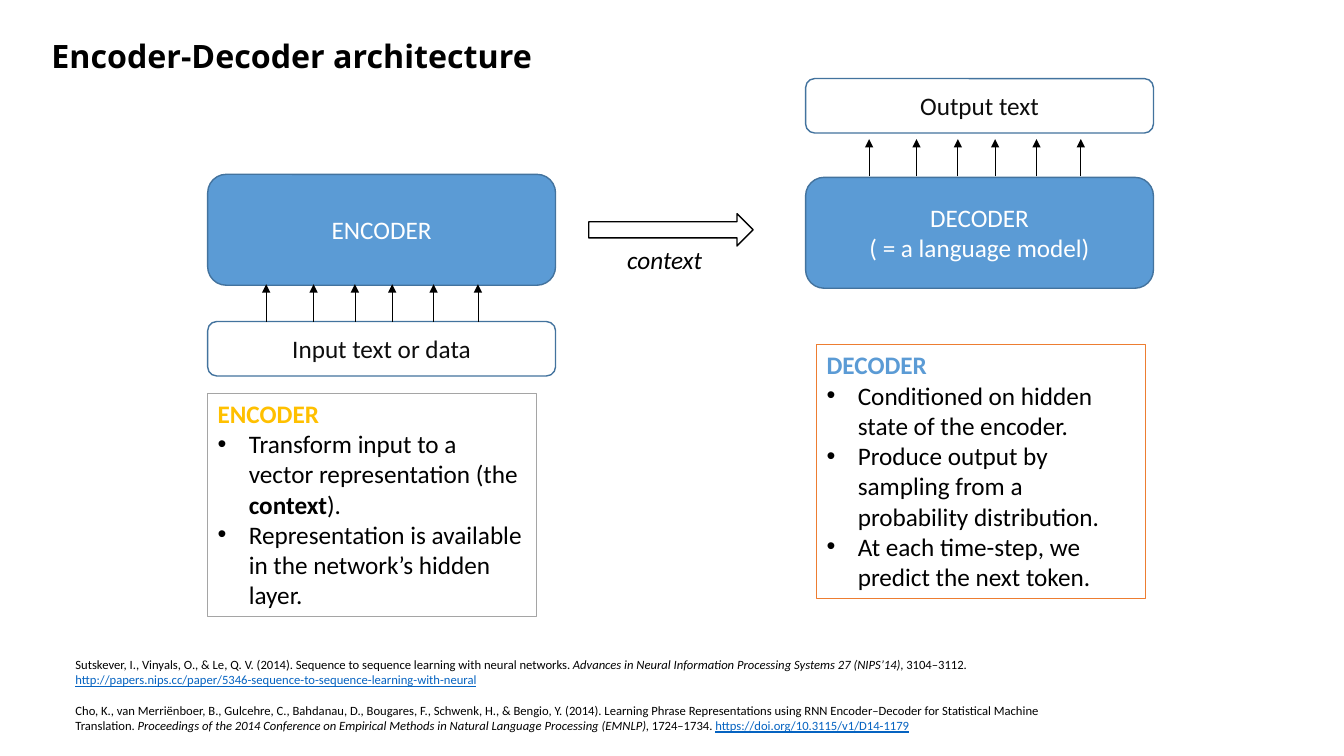
from dataclasses import dataclass

from lxml import etree
from pptx import Presentation
from pptx.dml.color import RGBColor
from pptx.enum.shapes import MSO_CONNECTOR, MSO_SHAPE
from pptx.enum.text import MSO_ANCHOR, MSO_AUTO_SIZE, PP_ALIGN
from pptx.oxml.ns import qn
from pptx.util import Inches, Pt

ROUNDED, RECT, ARROW = MSO_SHAPE.ROUNDED_RECTANGLE, MSO_SHAPE.RECTANGLE, MSO_SHAPE.RIGHT_ARROW
STRAIGHT = MSO_CONNECTOR.STRAIGHT
TOP, MIDDLE = MSO_ANCHOR.TOP, MSO_ANCHOR.MIDDLE
LEFT, CENTER = PP_ALIGN.LEFT, PP_ALIGN.CENTER
NO_FIT = MSO_AUTO_SIZE.NONE


@dataclass(frozen=True)
class Theme:
    black: str = "000000"
    white: str = "FFFFFF"
    soft_black: str = "0D0D0D"
    blue: str = "5B9BD5"
    dark_blue: str = "43739E"
    gold: str = "FFC000"
    orange: str = "ED7D31"
    gray: str = "A5A5A5"
    link: str = "0563C1"
    title_font: str = "Open Sans"
    body_font: str = "Calibri"
    title: float = 23
    body: float = 18
    reference: float = 9


T = Theme()


def add_runs(p, runs, size, align=LEFT, font=T.body_font):
    """Fill a paragraph from (text, colour, font attributes) triples."""
    p.alignment = align
    for text, color, attrs in runs:
        r = p.add_run()
        r.text = text
        r.font.name, r.font.size = font, Pt(size)
        r.font.color.rgb = RGBColor.from_string(color)
        for name, value in attrs.items():
            setattr(r.font, name, value)


def add_box(kind, box, fill, line, width):
    sp = s.shapes.add_shape(kind, *map(Inches, box))
    sp.shadow.inherit = False
    if fill:
        sp.fill.solid()
        sp.fill.fore_color.rgb = RGBColor.from_string(fill)
    else:
        sp.fill.background()
    sp.line.color.rgb = RGBColor.from_string(line)
    sp.line.width = Pt(width)
    sp.text_frame.word_wrap = True
    return sp


prs = Presentation()
prs.slide_width, prs.slide_height = Inches(13.33), Inches(7.5)
s = prs.slides.add_slide(prs.slide_layouts[5])

# Title
title = s.shapes.title
title.left, title.top, title.width, title.height = map(Inches, (0.41, 0.31, 8.27, 1.37))
tf = title.text_frame
tf.vertical_anchor, tf.auto_size, tf.word_wrap = TOP, NO_FIT, True
add_runs(tf.paragraphs[0], [("Encoder-Decoder architecture", T.black, {"bold": True})],
         T.title, font=T.title_font)

# Notes on each half of the model
BOLD, PLAIN, ITALIC = {"bold": True}, {}, {"italic": True}
notes = [
    ((2.06, 3.9, 3.26, 2.22), T.gray, "ENCODER", T.gold, [
        [("Transform input to a vector representation (the ", T.black, PLAIN),
         ("context", T.black, BOLD), (").", T.black, PLAIN)],
        [("Representation is available in the network’s hidden layer.", T.black, PLAIN)],
    ]),
    ((8.1, 3.42, 3.26, 2.52), T.orange, "DECODER", T.blue, [
        [("Conditioned on hidden state of the encoder.", T.black, PLAIN)],
        [("Produce output by sampling from a probability distribution.", T.black, PLAIN)],
        [("At each time-step, we predict the next token.", T.black, PLAIN)],
    ]),
]
for box, border, heading, color, points in notes:
    tf = add_box(RECT, box, None, border, 0.75).text_frame
    tf.vertical_anchor = TOP
    add_runs(tf.paragraphs[0], [(heading, color, BOLD)], T.body)
    for runs in points:
        p = tf.add_paragraph()
        add_runs(p, runs, T.body)
        pPr = p._p.get_or_add_pPr()
        pPr.set("marL", str(Inches(0.31)))
        pPr.set("indent", str(-Inches(0.31)))
        etree.SubElement(pPr, qn("a:buFont"), typeface="Arial")
        etree.SubElement(pPr, qn("a:buChar"), char="•")

# References
references = [
    [("Sutskever, I., Vinyals, O., & Le, Q. V. (2014). Sequence to sequence learning "
      "with neural networks. ", T.black, PLAIN),
     ("Advances in Neural Information Processing Systems 27 (NIPS’14)", T.black, ITALIC),
     (", 3104–3112. ", T.black, PLAIN),
     ("http://papers.nips.cc/paper/5346-sequence-to-sequence-learning-with-neural",
      T.link, {"underline": True})],
    [("Cho, K., van Merriënboer, B., Gulcehre, C., Bahdanau, D., Bougares, F., Schwenk, H., "
      "& Bengio, Y. (2014). Learning Phrase Representations using RNN Encoder–Decoder for "
      "Statistical Machine Translation. ", T.black, PLAIN),
     ("Proceedings of the 2014 Conference on Empirical Methods in Natural Language "
      "Processing (EMNLP)", T.black, ITALIC),
     (", 1724–1734. ", T.black, PLAIN),
     ("https://doi.org/10.3115/v1/D14-1179", T.link, {"underline": True})],
]
tf = s.shapes.add_textbox(*map(Inches, (0.65, 6.47, 10.07, 1.01))).text_frame
tf.word_wrap = True
for i, runs in enumerate(references):
    p = tf.add_paragraph() if i else tf.paragraphs[0]
    add_runs(p, runs, T.reference)
    p.space_before = Pt(11 if i else 0)

# Model blocks with their input and output
ENCODER_X, DECODER_X, BLOCK_W = 2.06, 7.99, 3.45
blocks = [
    (ENCODER_X, 1.73, 1.1, T.blue, T.white, ["ENCODER"]),
    (DECODER_X, 1.76, 1.1, T.blue, T.white, ["DECODER", "( = a language model)"]),
    (ENCODER_X, 3.19, 0.54, T.white, T.soft_black, ["Input text or data"]),
    (DECODER_X, 0.78, 0.54, T.white, T.soft_black, ["Output text"]),
]
for x, y, h, fill, color, lines in blocks:
    tf = add_box(ROUNDED, (x, y, BLOCK_W, h), fill, T.dark_blue, 1).text_frame
    tf.vertical_anchor = MIDDLE
    for i, text in enumerate(lines):
        p = tf.add_paragraph() if i else tf.paragraphs[0]
        add_runs(p, [(text, color, PLAIN)], T.body, CENTER)

# Token arrows into the encoder and out of the decoder
for x, y in [(2.64, 3.19), (8.62, 1.75)]:
    for dx in (0, 0.47, 0.88, 1.25, 1.66, 2.1):
        c = s.shapes.add_connector(STRAIGHT, Inches(x + dx), Inches(y),
                                   Inches(x + dx), Inches(y - 0.37))
        c.line.color.rgb = RGBColor.from_string(T.black)
        c.line.width = Pt(0.5)
        etree.SubElement(c.line._get_or_add_ln(), qn("a:tailEnd"), type="triangle")
        etree.SubElement(c._element.spPr, qn("a:effectLst"))

# Context passed from encoder to decoder
add_box(ARROW, (5.84, 2.12, 1.63, 0.32), None, T.black, 1)
tf = s.shapes.add_textbox(*map(Inches, (6.22, 2.42, 0.77, 0.3))).text_frame
tf.margin_left = tf.margin_right = tf.margin_top = tf.margin_bottom = 0
tf.word_wrap = False
add_runs(tf.paragraphs[0], [("context", T.black, ITALIC)], T.body)

prs.save("out.pptx")
